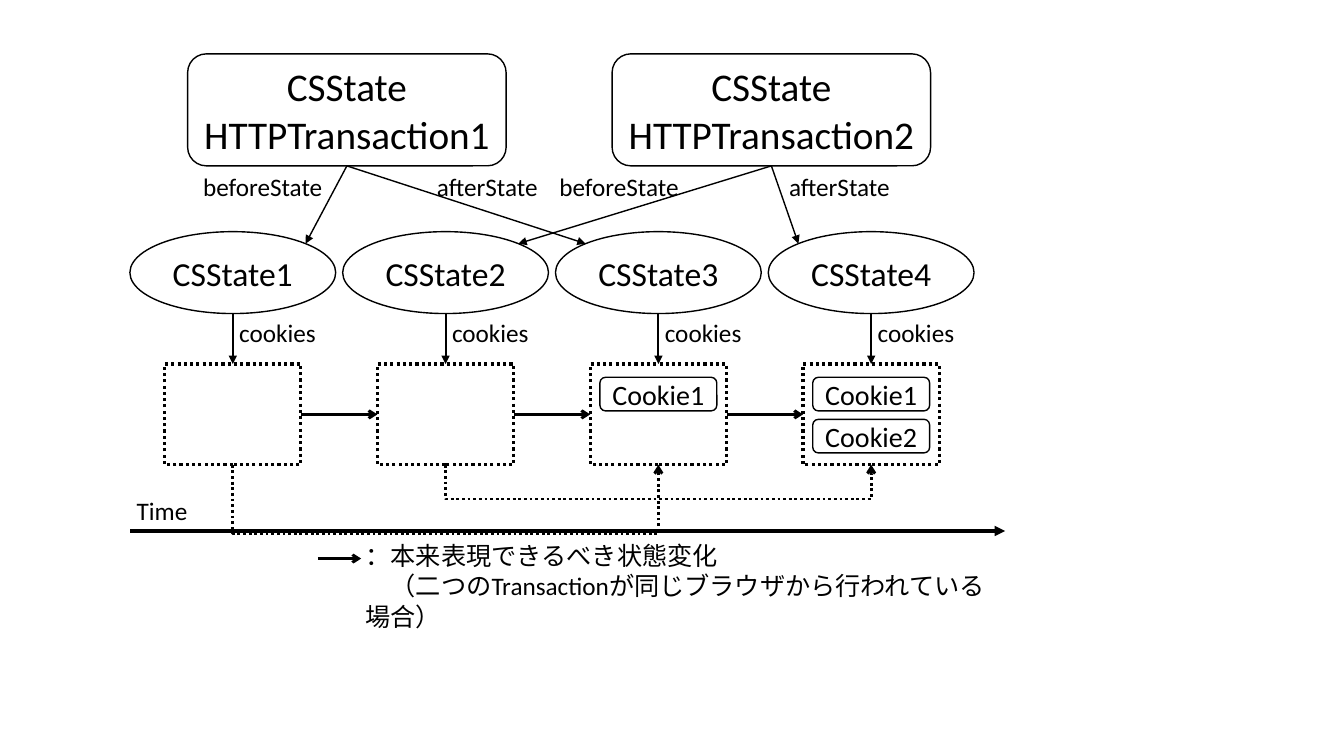
from lxml import etree
from pptx import Presentation
from pptx.dml.color import RGBColor
from pptx.enum import dml, shapes, text
from pptx.oxml import ns
from pptx.util import Pt

BLACK = RGBColor(0, 0, 0)
FONT = "Calibri"

FIRST_CENTER, COLUMN_STEP = 166.3, 152
STATE_W, STATE_H, STATE_TOP = 147, 58.5, 165.5
STORE_W, STORE_H, STORE_TOP = 97.4, 72, 260
COOKIE_W, COOKIE_H, COOKIE_TOP, COOKIE_STEP = 83.5, 24, 269.5, 30
TRANSACTION_W, TRANSACTION_H, TRANSACTION_TOP = 227.5, 80, 38.5
TRANSACTION_CENTERS = [247.8, 551]
LABEL_H = 29

COOKIES_BY_STATE = [[], [], ["Cookie1"], ["Cookie1", "Cookie2"]]
COLUMN_CENTERS = [FIRST_CENTER + i * COLUMN_STEP for i in range(4)]


def format_paragraphs(frame, size, align):
    for paragraph in frame.paragraphs:
        paragraph.alignment = align
        paragraph.font.size = Pt(size)
        paragraph.font.name = FONT
        paragraph.font.color.rgb = BLACK


def style_line(line, weight, dotted=False):
    line.color.rgb = BLACK
    line.width = Pt(weight)
    if dotted:
        line.dash_style = dml.MSO_LINE.ROUND_DOT


def add_arrowhead(line_shape, head):
    outline = line_shape._element.spPr.find(ns.qn("a:ln"))
    etree.SubElement(outline, ns.qn("a:tailEnd"), type=head)


def add_node(slide, preset, center, top, width, height, caption="", size=18,
             weight=1, dotted=False):
    node = slide.shapes.add_shape(
        preset, Pt(center - width / 2), Pt(top), Pt(width), Pt(height))
    node.shadow.inherit = False
    node.fill.background()
    style_line(node.line, weight, dotted)
    if caption:
        frame = node.text_frame
        frame.text = caption
        frame.vertical_anchor = text.MSO_ANCHOR.MIDDLE
        frame.margin_left = frame.margin_right = 0
        frame.margin_top = frame.margin_bottom = 0
        format_paragraphs(frame, size, text.PP_ALIGN.CENTER)


def add_label(slide, left, top, width, caption, height=LABEL_H):
    label = slide.shapes.add_textbox(Pt(left), Pt(top), Pt(width), Pt(height))
    label.text_frame.word_wrap = True
    label.text_frame.text = caption
    format_paragraphs(label.text_frame, 18, text.PP_ALIGN.LEFT)


def add_arrow(slide, start, end, weight=1, head="triangle"):
    arrow = slide.shapes.add_connector(
        shapes.MSO_CONNECTOR.STRAIGHT, *(Pt(v) for v in (*start, *end)))
    style_line(arrow.line, weight)
    add_arrowhead(arrow, head)
    etree.SubElement(arrow._element.spPr, ns.qn("a:effectLst"))


def add_dotted_route(slide, start_center, end_center, depth):
    bottom = STORE_TOP + STORE_H
    builder = slide.shapes.build_freeform(Pt(start_center), Pt(bottom))
    corners = [(start_center, depth), (end_center, depth), (end_center, bottom)]
    builder.add_line_segments([(Pt(x), Pt(y)) for x, y in corners], close=False)
    route = builder.convert_to_shape()
    route.shadow.inherit = False
    route.fill.background()
    style_line(route.line, 2, dotted=True)
    add_arrowhead(route, "arrow")


def add_transactions(slide):
    for number, center in enumerate(TRANSACTION_CENTERS, 1):
        add_node(slide, shapes.MSO_SHAPE.ROUNDED_RECTANGLE, center, TRANSACTION_TOP,
                 TRANSACTION_W, TRANSACTION_H,
                 f"CSState\nHTTPTransaction{number}", 28)
    diagonal = 0.5 ** 0.5
    landing_y = STATE_TOP + STATE_H / 2 * (1 - diagonal)
    for transaction, state, side in [(0, 0, 1), (0, 2, -1), (1, 1, 1), (1, 3, -1)]:
        landing_x = COLUMN_CENTERS[state] + side * STATE_W / 2 * diagonal
        add_arrow(slide,
                  (TRANSACTION_CENTERS[transaction], TRANSACTION_TOP + TRANSACTION_H),
                  (landing_x, landing_y))
    for left, caption in [(138, "beforeState"), (305, "afterState"),
                          (392.5, "beforeState"), (556.5, "afterState")]:
        add_label(slide, left, 118.5, 101, caption)


def add_state_column(slide, number, center, cookies):
    add_node(slide, shapes.MSO_SHAPE.OVAL, center, STATE_TOP, STATE_W, STATE_H,
             f"CSState{number}", 24)
    add_arrow(slide, (center, STATE_TOP + STATE_H), (center, STORE_TOP), 1.5)
    add_label(slide, center - 2.5, 223, 71.5, "cookies")
    add_node(slide, shapes.MSO_SHAPE.RECTANGLE, center, STORE_TOP, STORE_W, STORE_H,
             weight=2.25, dotted=True)
    for row, cookie in enumerate(cookies):
        add_node(slide, shapes.MSO_SHAPE.ROUNDED_RECTANGLE, center,
                 COOKIE_TOP + row * COOKIE_STEP, COOKIE_W, COOKIE_H, cookie, 20)


def add_transitions(slide):
    middle = STORE_TOP + STORE_H / 2
    for before, after in zip(COLUMN_CENTERS, COLUMN_CENTERS[1:]):
        add_arrow(slide, (before + STORE_W / 2, middle),
                  (after - STORE_W / 2, middle), 2, "arrow")
    for start, depth in [(0, 381), (1, 356.5)]:
        add_dotted_route(slide, COLUMN_CENTERS[start], COLUMN_CENTERS[start + 2], depth)


def add_timeline_and_legend(slide):
    add_arrow(slide, (93, 379.3), (718, 379.3), 2.5)
    add_label(slide, 90.5, 350.5, 57, "Time")
    add_arrow(slide, (227, 399), (258, 399), 2, "arrow")
    add_label(slide, 254, 382.5, 469,
              "：本来表現できるべき状態変化\n"
              "　（二つのTransactionが同じブラウザから行われている場合）", 51)


def main():
    deck = Presentation()
    deck.slide_width, deck.slide_height = Pt(960), Pt(540)
    slide = deck.slides.add_slide(deck.slide_layouts[6])
    add_transactions(slide)
    for number, (center, cookies) in enumerate(zip(COLUMN_CENTERS, COOKIES_BY_STATE), 1):
        add_state_column(slide, number, center, cookies)
    add_transitions(slide)
    add_timeline_and_legend(slide)
    deck.save("out.pptx")


if __name__ == "__main__":
    main()
